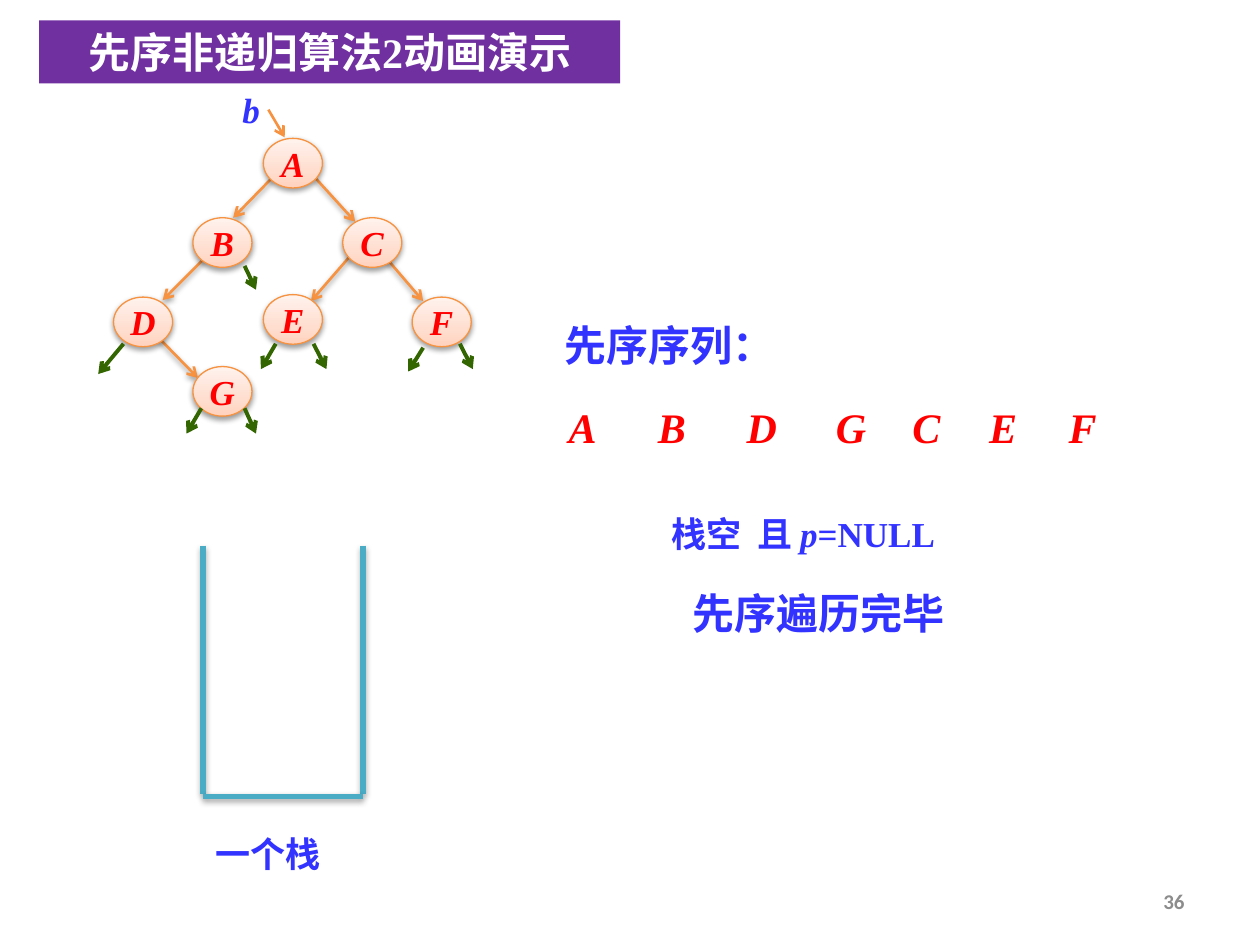
from dataclasses import dataclass
from typing import NamedTuple

from lxml.etree import SubElement
from pptx import Presentation
from pptx.dml.color import RGBColor
from pptx.enum.shapes import MSO_CONNECTOR, MSO_SHAPE
from pptx.enum.text import MSO_ANCHOR, MSO_AUTO_SIZE, PP_ALIGN
from pptx.oxml.ns import qn
from pptx.util import Cm, Pt


@dataclass(frozen=True)
class Theme:
    """Colours, fonts and type sizes of the slide."""
    banner: str = "7030A0"
    white: str = "FFFFFF"
    blue: str = "3333FF"
    red: str = "FF0000"
    orange: str = "F69240"
    green: str = "336600"
    teal: str = "4BACC6"
    grey: str = "8C8C8C"
    node_stops: tuple = ((0, "FFD2BD"), (35, "FFDED0"), (100, "FFF2ED"))
    latin: str = "Times New Roman"
    cjk: str = "Noto Sans CJK SC"
    number: str = "Calibri"
    big: int = 24
    mid: int = 20
    small: int = 12


class Box(NamedTuple):
    """Left, top, width and height in centimetres."""
    x: float
    y: float
    w: float
    h: float


class Line(NamedTuple):
    """Start and end points in centimetres."""
    x1: float
    y1: float
    x2: float
    y2: float


class Node(NamedTuple):
    """Tree node with its top left corner."""
    name: str
    x: float
    y: float


class Run(NamedTuple):
    """Piece of text with its format."""
    text: str
    color: str
    size: int
    italic: bool = False
    font: str = "Times New Roman"


T = Theme()
NODE_W, NODE_H = 1.19, 1.0

NODES = [
    Node("A", 5.31, 2.79), Node("B", 3.89, 4.39), Node("C", 6.91, 4.39),
    Node("D", 2.29, 5.99), Node("E", 5.31, 5.94), Node("F", 8.31, 5.99),
    Node("G", 3.89, 7.39),
]
EDGES = [
    Line(5.49, 3.58, 4.7, 4.39), Line(6.35, 3.58, 7.16, 4.47),
    Line(4.17, 5.16, 3.28, 6.05), Line(7.06, 5.16, 6.27, 6.07),
    Line(7.75, 5.16, 8.53, 6.07), Line(3.2, 6.81, 3.99, 7.62),
]
NULL_LINKS = [
    Line(4.93, 5.36, 5.16, 5.84), Line(2.49, 6.93, 1.98, 7.54),
    Line(4.93, 8.23, 5.16, 8.74), Line(4.06, 8.23, 3.76, 8.74),
    Line(6.32, 6.93, 6.58, 7.44), Line(5.56, 6.93, 5.26, 7.44),
    Line(9.27, 6.93, 9.53, 7.44), Line(8.53, 7.01, 8.23, 7.49),
]
ROOT_POINTER = Line(5.41, 2.21, 5.74, 2.77)
STACK = [Line(4.09, 11, 4.09, 16), Line(7.32, 11, 7.32, 16), Line(4.09, 16.05, 7.32, 16.05)]
VISITS = zip("ABDGCEF", (11.15, 12.95, 14.76, 16.56, 18.08, 19.63, 21.23))


def rgb(value: str) -> RGBColor:
    """Return the colour for a hex value."""
    return RGBColor.from_string(value)


def add_shadow(effects, opacity: int) -> None:
    """Put a soft downward shadow into an effect list."""
    shadow = SubElement(effects, qn("a:outerShdw"), blurRad="40000", dist="20000",
                        dir="5400000", rotWithShape="0")
    color = SubElement(shadow, qn("a:srgbClr"), val="000000")
    SubElement(color, qn("a:alpha"), val=str(opacity * 1000))


def write(sp, runs: list[Run], align=PP_ALIGN.CENTER, anchor=MSO_ANCHOR.TOP,
          inset: bool = True, wrap: bool = True) -> None:
    """Fill a shape with one paragraph of bold runs."""
    tf = sp.text_frame
    tf.word_wrap = wrap
    tf.auto_size = MSO_AUTO_SIZE.NONE
    tf.vertical_anchor = anchor
    if not inset:
        tf.margin_left = tf.margin_right = tf.margin_top = tf.margin_bottom = 0
    p = tf.paragraphs[0]
    p.alignment = align
    p.space_before = Pt(0)
    for run in runs:
        r = p.add_run()
        r.text = run.text
        r.font.name = run.font
        r.font.size = Pt(run.size)
        r.font.bold = True
        r.font.italic = run.italic
        r.font.color.rgb = rgb(run.color)
        SubElement(r.font._element, qn("a:ea"), typeface=T.cjk)


def add_text(s, box: Box, runs: list[Run], **options) -> None:
    """Add a text box."""
    write(s.shapes.add_textbox(*map(Cm, box)), runs, **options)


def add_line(s, line: Line, color: str, width: float, arrow: bool = True,
             shadow: int = 0) -> None:
    """Add a straight line, with an arrowhead and a shadow if wanted."""
    sp = s.shapes.add_connector(MSO_CONNECTOR.STRAIGHT, *map(Cm, line))
    sp.line.color.rgb = rgb(color)
    sp.line.width = Pt(width)
    props = sp.element.spPr
    if arrow:
        SubElement(props.find(qn("a:ln")), qn("a:tailEnd"), type="arrow")
    effects = SubElement(props, qn("a:effectLst"))
    if shadow:
        add_shadow(effects, shadow)


def add_node(s, node: Node) -> None:
    """Add a tree node as a shaded ellipse."""
    sp = s.shapes.add_shape(MSO_SHAPE.OVAL, Cm(node.x), Cm(node.y), Cm(NODE_W), Cm(NODE_H))
    props = sp.element.spPr
    fill = SubElement(props, qn("a:gradFill"), rotWithShape="1")
    stops = SubElement(fill, qn("a:gsLst"))
    for pos, color in T.node_stops:
        stop = SubElement(stops, qn("a:gs"), pos=str(pos * 1000))
        SubElement(stop, qn("a:srgbClr"), val=color)
    SubElement(fill, qn("a:lin"), ang="16200000", scaled="1")
    sp.line.color.rgb = rgb(T.orange)
    sp.line.width = Pt(0.75)
    sp.shadow.inherit = False
    add_shadow(props.find(qn("a:effectLst")), 38)
    write(sp, [Run(node.name, T.red, T.mid, True)], anchor=MSO_ANCHOR.MIDDLE, wrap=False)


def add_title(s, box: Box, text: str) -> None:
    """Turn the title placeholder into the banner."""
    sp = s.shapes.title
    sp.left, sp.top, sp.width, sp.height = map(Cm, box)
    sp.fill.solid()
    sp.fill.fore_color.rgb = rgb(T.banner)
    write(sp, [Run(text, T.white, T.big)])


def main() -> None:
    """Build and save the slide."""
    prs = Presentation()
    prs.slide_width, prs.slide_height = Cm(25.4), Cm(19.05)
    s = prs.slides.add_slide(prs.slide_layouts[5])
    add_title(s, Box(0.79, 0.41, 11.71, 1.27), "先序非递归算法2动画演示")

    for edge in EDGES:
        add_line(s, edge, T.orange, 1.5, shadow=38)
    for node in NODES:
        add_node(s, node)
    for link in NULL_LINKS:
        add_line(s, link, T.green, 2.25)
    add_line(s, ROOT_POINTER, T.orange, 1.5)
    add_text(s, Box(4.57, 1.78, 0.99, 0.86), [Run("b", T.blue, T.mid, True)], inset=False)

    for side in STACK:
        add_line(s, side, T.teal, 3, arrow=False, shadow=35)
    add_text(s, Box(4.09, 16.66, 3.2, 1.12), [Run("一个栈", T.blue, T.mid, font=T.cjk)],
             align=PP_ALIGN.LEFT)

    add_text(s, Box(11.1, 6.32, 4.8, 1.27), [Run("先序序列：", T.blue, T.big, font=T.cjk)])
    for name, x in VISITS:
        add_text(s, Box(x, 8.1, 1.19, 1.02), [Run(name, T.red, T.big, True)], inset=False)
    add_text(s, Box(13.28, 10.21, 6.35, 1.12),
             [Run("栈空  且 ", T.blue, T.mid), Run("p", T.blue, T.mid, True),
              Run("=NULL", T.blue, T.mid)], align=PP_ALIGN.LEFT)
    add_text(s, Box(12.7, 11.71, 7.59, 1.27), [Run("先序遍历完毕", T.blue, T.big, font=T.cjk)])
    add_text(s, Box(18.21, 17.65, 5.92, 1.02), [Run("36", T.grey, T.small, font=T.number)],
             align=PP_ALIGN.RIGHT, anchor=MSO_ANCHOR.MIDDLE)
    prs.save("out.pptx")


if __name__ == "__main__":
    main()
